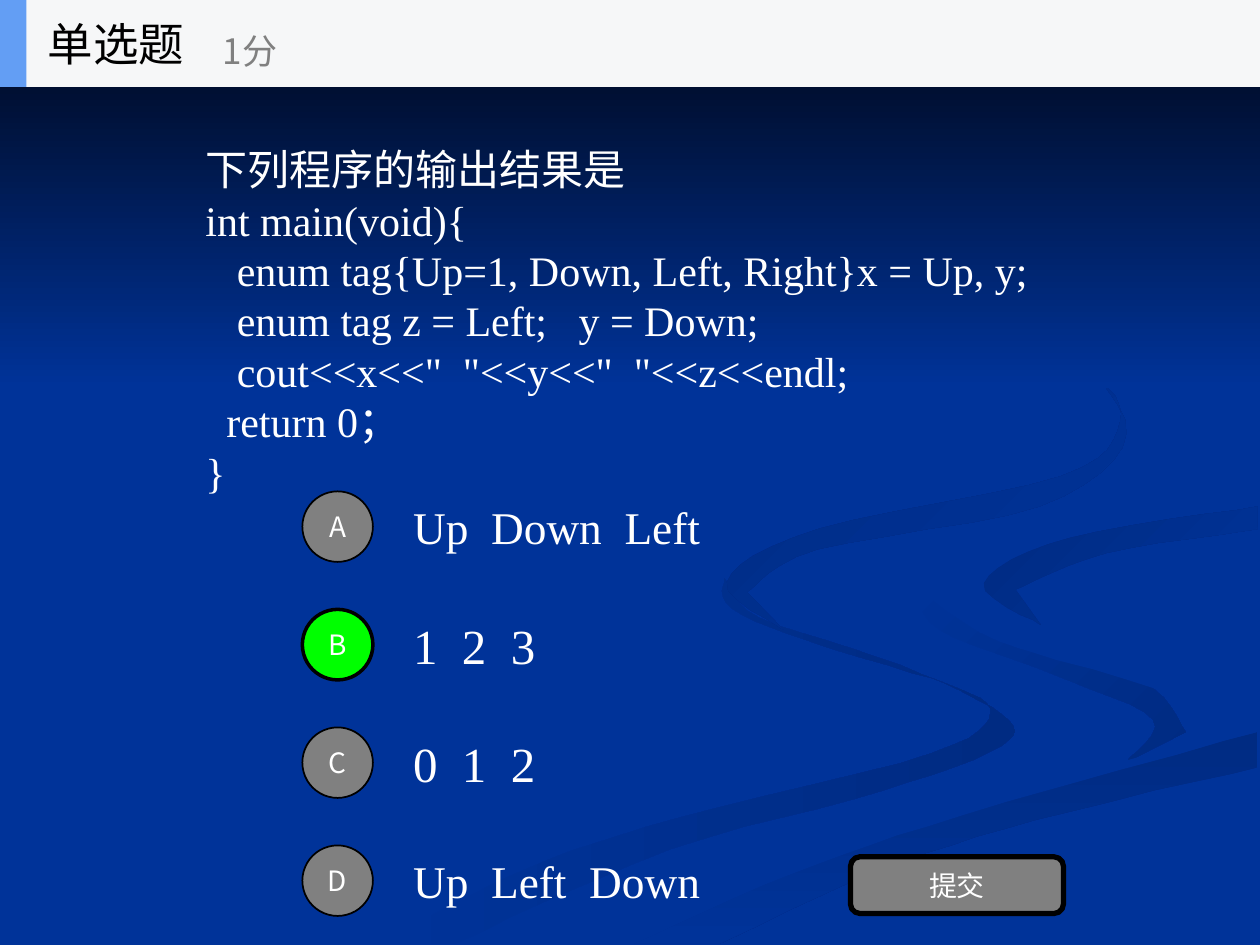
from dataclasses import dataclass
from typing import Optional

from lxml.etree import SubElement
from pptx import Presentation
from pptx.dml.color import RGBColor
from pptx.enum.shapes import MSO_SHAPE as Shape
from pptx.enum.text import MSO_ANCHOR as Anchor, MSO_AUTO_SIZE as AutoSize, PP_ALIGN as Align
from pptx.oxml.ns import qn
from pptx.util import Inches, Pt


@dataclass(frozen=True)
class Theme:
    blue: str = "003399"
    deep: str = "002B82"
    night: str = "000514"
    header: str = "F6F7F8"
    accent: str = "639EF4"
    grey: str = "808080"
    green: str = "00FF00"
    black: str = "000000"
    white: str = "FFFFFF"
    serif: str = "Times New Roman"
    sans: str = "Noto Sans CJK SC"
    title: float = 26
    score: float = 20
    question: float = 24
    words: float = 25.9
    numbers: float = 28
    button: float = 16


@dataclass(frozen=True)
class Ribbon:
    edges: list
    start: str
    end: str
    angle: int = 45


@dataclass(frozen=True)
class Option:
    letter: str
    answer: str
    size: float
    correct: bool = False


T = Theme()

RIBBONS = [
    Ribbon([
        [(575, 459), (581, 483), (654, 513), (752, 543), (786, 566), (739, 598),
         (539, 649), (417, 690), (300, 749)],
        [(361, 749), (532, 674), (699, 628), (795, 592), (795, 567), (715, 528),
         (602, 490), (575, 459)],
    ], T.blue, T.deep, 0),
    Ribbon([
        [(724, 464), (746, 500), (838, 536), (915, 571), (894, 605)],
        [(941, 581), (905, 540), (792, 509), (724, 464)],
    ], T.blue, T.deep),
    Ribbon([
        [(571, 749), (695, 692), (821, 651), (998, 609)],
        [(998, 581), (764, 647), (630, 693), (503, 749)],
    ], T.deep, T.blue, 90),
    Ribbon([
        [(725, 464), (793, 509), (931, 553), (926, 593), (743, 643), (477, 749)],
        [(503, 749), (630, 693), (764, 647), (998, 581)],
        [(998, 538), (848, 503), (781, 463), (849, 427), (998, 402)],
        [(998, 387), (808, 417), (725, 464)],
    ], T.blue, T.blue),
    Ribbon([
        [(998, 402), (849, 427), (781, 463), (826, 496)],
        [(806, 468), (878, 439), (998, 420)],
    ], T.deep, T.blue),
    Ribbon([
        [(762, 233), (862, 292), (889, 335), (842, 378), (649, 420), (577, 462), (622, 500)],
        [(593, 470), (649, 436), (825, 402), (894, 344), (843, 275), (762, 233)],
    ], T.deep, T.blue),
    Ribbon([[(0, 0), (0, 308)], [(1000, 308), (1000, 0)]], T.night, T.blue, 90),
]

QUESTION = [
    "下列程序的输出结果是",
    "int main(void){",
    "   enum tag{Up=1, Down, Left, Right}x = Up, y;",
    "   enum tag z = Left;   y = Down;",
    '   cout<<x<<"  "<<y<<"  "<<z<<endl;',
    "  return 0；",
    "}",
]

OPTIONS = [
    Option("A", "Up  Down  Left", T.words),
    Option("B", "1  2  3", T.numbers, True),
    Option("C", "0  1  2", T.numbers),
    Option("D", "Up  Left  Down", T.words),
]


def rgb(color: str) -> RGBColor:
    return RGBColor.from_string(color)


def smooth(knots: list, steps: int = 6) -> list:
    padded = [knots[0], *knots, knots[-1]]
    curve = []
    for a, b, c, d in zip(padded, padded[1:], padded[2:], padded[3:]):
        for t in (i / steps for i in range(steps)):
            curve.append(tuple(
                q + t / 2 * (r - p + t * (2 * p - 5 * q + 4 * r - s + t * (3 * (q - r) + s - p)))
                for p, q, r, s in zip(a, b, c, d)))
    return curve + [knots[-1]]


def place(sp, left: float, top: float, width: float, height: float) -> None:
    sp.left, sp.top = Inches(left), Inches(top)
    sp.width, sp.height = Inches(width), Inches(height)


def write(sp, lines: list, size: float, color: str, font: str = T.sans,
          align: Align = Align.LEFT, spacing: Optional[float] = None) -> None:
    tf = sp.text_frame
    tf.word_wrap = True
    tf.auto_size = AutoSize.NONE
    tf.vertical_anchor = Anchor.MIDDLE
    for i, line in enumerate(lines):
        p = tf.paragraphs[0] if i == 0 else tf.add_paragraph()
        pPr = p._p.get_or_add_pPr()
        pPr.set("marL", "0")
        pPr.set("indent", "0")
        SubElement(pPr, qn("a:buNone"))
        p.alignment = align
        p.space_before = Pt(0)
        if spacing:
            p.line_spacing = Pt(spacing)
        r = p.add_run()
        r.text = line
        r.font.size = Pt(size)
        r.font.name = font
        r.font.color.rgb = rgb(color)
        SubElement(r._r.get_or_add_rPr(), qn("a:ea"), typeface=T.sans)


def add_text(s, box: tuple, text: str, size: float, color: str, font: str = T.sans) -> None:
    sp = s.shapes.add_textbox(*map(Inches, box))
    write(sp, [text], size, color, font)


def add_box(s, kind: Shape, box: tuple, fill: str, line: float = 0, label: str = "") -> None:
    sp = s.shapes.add_shape(kind, *map(Inches, box))
    sp.shadow.inherit = False
    sp.fill.solid()
    sp.fill.fore_color.rgb = rgb(fill)
    if line:
        sp.line.color.rgb = rgb(T.black)
        sp.line.width = Pt(line)
    else:
        sp.line.fill.background()
    if label:
        write(sp, [label], T.button, T.white, align=Align.CENTER)


def add_ribbon(s, ribbon: Ribbon) -> None:
    first, *rest = [point for edge in ribbon.edges for point in smooth(edge)]
    builder = s.shapes.build_freeform(*first, scale=Inches(0.01))
    builder.add_line_segments(rest, close=True)
    sp = builder.convert_to_shape()
    sp.shadow.inherit = False
    sp.line.fill.background()
    sp.fill.gradient()
    sp.fill.gradient_angle = -ribbon.angle % 360
    for stop, color in zip(sp.fill.gradient_stops, (ribbon.start, ribbon.end)):
        stop.color.rgb = rgb(color)


def add_option(s, option: Option, top: float) -> None:
    add_text(s, (3.18, top - 0.07, 2.76, 0.7), option.answer, option.size, T.white, T.serif)
    fill, line = (T.green, 2) if option.correct else (T.grey, 1)
    add_box(s, Shape.OVAL, (2.4, top, 0.56, 0.56), fill, line, option.letter)


def main() -> None:
    prs = Presentation()
    prs.slide_width, prs.slide_height = Inches(10), Inches(7.5)
    s = prs.slides.add_slide(prs.slide_layouts[1])
    s.background.fill.solid()
    s.background.fill.fore_color.rgb = rgb(T.blue)
    title, body = s.shapes.title, s.placeholders[1]

    for ribbon in RIBBONS:
        add_ribbon(s, ribbon)

    s.shapes.element.append(body.element)
    place(body, 1.53, 0.55, 7.09, 3.98)
    write(body, QUESTION, T.question, T.white, T.serif, spacing=28.8)

    pitch = 2.81 / (len(OPTIONS) - 1)
    for i, option in enumerate(OPTIONS):
        add_option(s, option, 3.9 + i * pitch)
    add_box(s, Shape.ROUNDED_RECTANGLE, (6.75, 6.8, 1.69, 0.45), T.grey, 3, "提交")

    add_box(s, Shape.RECTANGLE, (0, 0, 10, 0.69), T.header)
    add_box(s, Shape.RECTANGLE, (0, 0, 0.21, 0.69), T.accent)
    s.shapes.element.append(title.element)
    place(title, 0.28, 0, 2.08, 0.69)
    write(title, ["单选题"], T.title, T.black)
    add_text(s, (1.67, 0.12, 2.5, 0.56), "1分", T.score, T.grey)

    prs.save("out.pptx")


if __name__ == "__main__":
    main()
